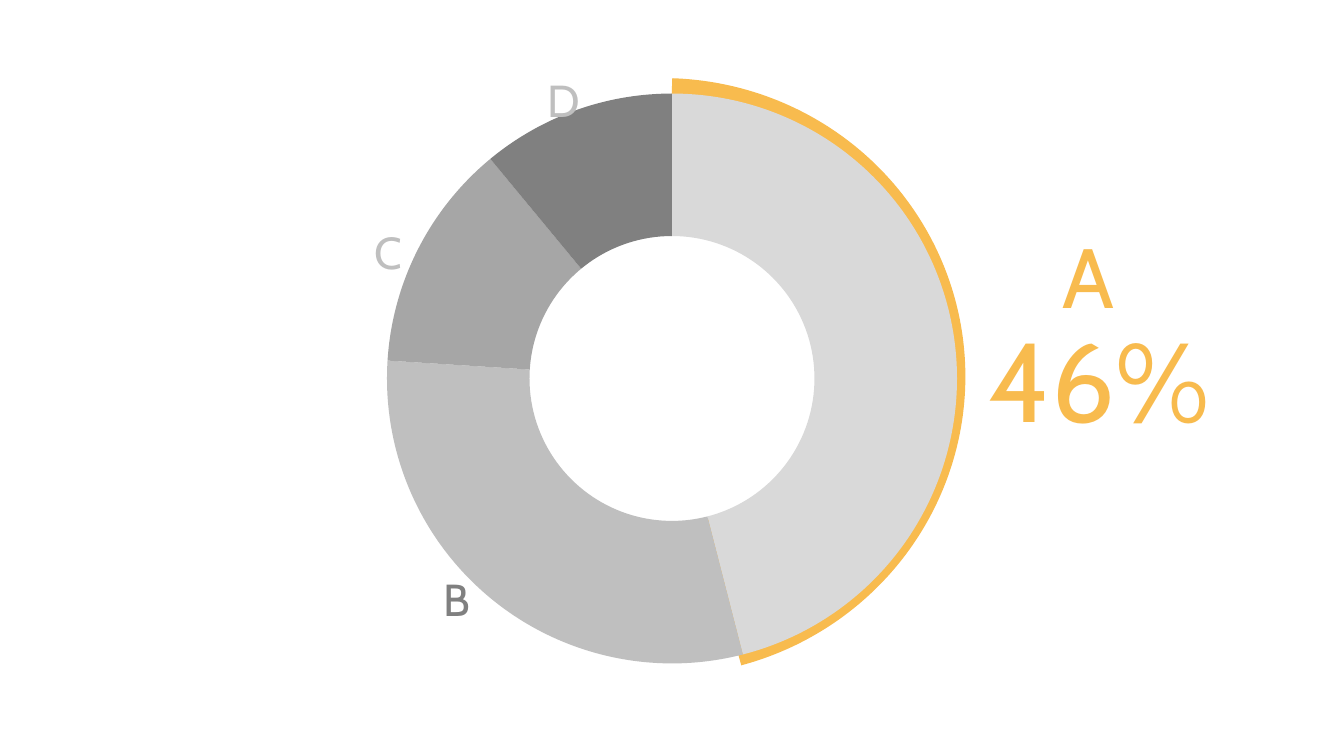
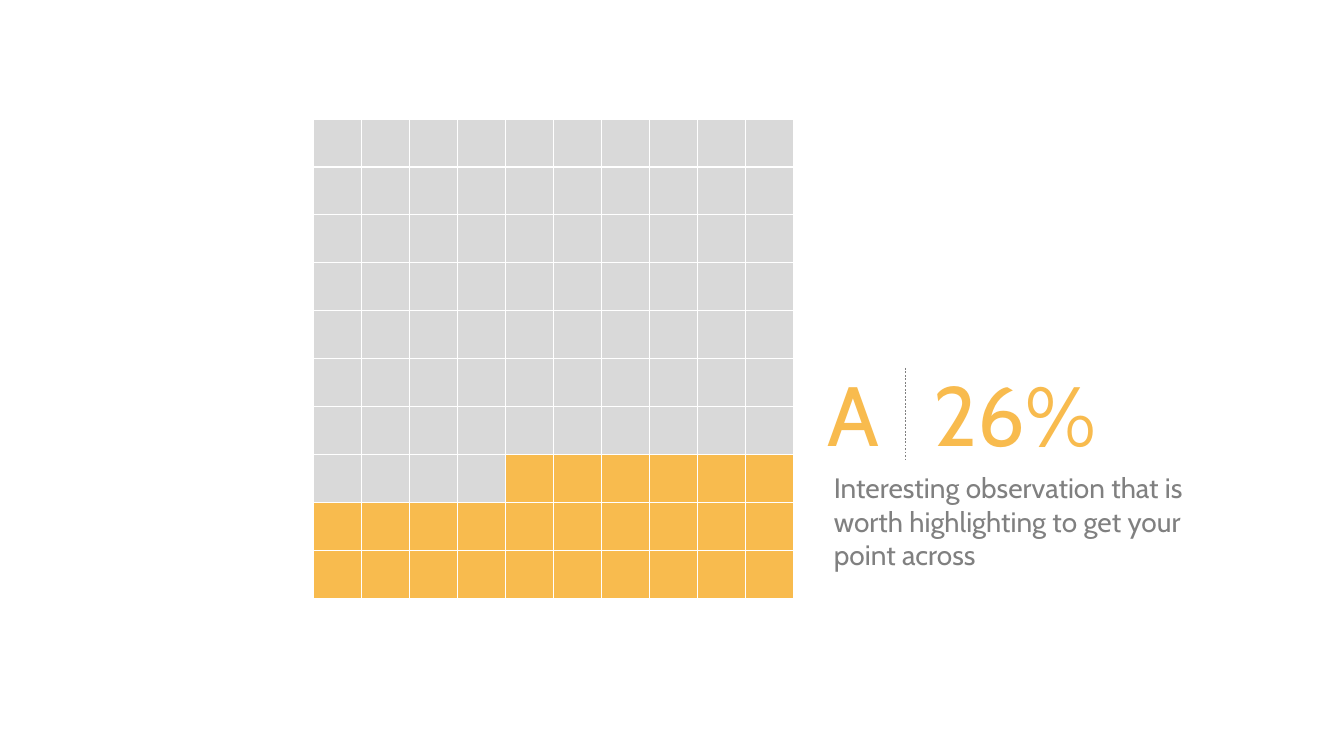
from pptx import Presentation
from pptx.chart.data import CategoryChartData
from pptx.dml.color import RGBColor
from pptx.enum.chart import XL_CHART_TYPE as ChartType
from pptx.enum.dml import MSO_LINE as Dash
from pptx.enum.shapes import MSO_CONNECTOR as Connector, MSO_SHAPE as Shape
from pptx.oxml.ns import qn
from pptx.oxml.xmlchemy import OxmlElement
from pptx.util import Inches, Pt

COLORS = {
    "accent": "F8BB4E",
    "white": "FFFFFF",
    "black": "000000",
    "light": "D9D9D9",
    "silver": "BFBFBF",
    "medium": "A6A6A6",
    "dark": "808080",
}
TEXT_FONT = "Cabin"
CHART_FONT = "Calibri"
SHARES = {"light": 46, "silver": 30, "medium": 13, "dark": 11}
GRID_SIZE = 10
GRID_SIDE = 4.76
HIGHLIGHTED = 26


def rgb(name):
    return RGBColor.from_string(COLORS[name])


def paint(fill, color):
    fill.solid()
    fill.fore_color.rgb = rgb(color)


def add_text(shapes, place, text, size, color, inset=None):
    box = shapes.add_textbox(*map(Inches, place))
    frame = box.text_frame
    frame.word_wrap = True
    if inset is not None:
        frame.margin_left = frame.margin_right = Inches(inset)
        frame.margin_top = frame.margin_bottom = Inches(inset)
    span = frame.paragraphs[0].add_run()
    span.text = text
    span.font.name = TEXT_FONT
    span.font.size = Pt(size)
    span.font.color.rgb = rgb(color)


def add_highlight_arc(shapes):
    """Draw the accent ring whose rim shows beyond the first segment."""
    arc = shapes.add_shape(Shape.BLOCK_ARC, *map(Inches, (3.6, 0.73, 5.93, 6.02)))
    arc.shadow.inherit = False
    arc.rotation = 87.2
    for index, value in enumerate((110.87, 208.45, 0.25)):
        arc.adjustments[index] = value
    paint(arc.fill, "accent")
    arc.line.fill.background()


def add_doughnut(shapes):
    data = CategoryChartData()
    data.categories = [str(number) for number in range(1, len(SHARES) + 1)]
    data.add_series("Series 1", SHARES.values())
    place = map(Inches, (2.22, 0.79, 8.89, 5.93))
    chart = shapes.add_chart(ChartType.DOUGHNUT, *place, data).chart
    chart.has_legend = False
    chart.has_title = False
    chart.font.name = CHART_FONT
    chart.font.size = Pt(10)
    chart.font.color.rgb = rgb("black")
    plot = chart.plots[0]
    plot.has_data_labels = False
    plot.vary_by_categories = True
    for index, color in enumerate(SHARES):
        segment = plot.series[0].points[index].format
        paint(segment.fill, color)
        segment.line.fill.background()
    chart.element.find(".//" + qn("c:holeSize")).set("val", "56")


def add_dotted_line(shapes, start, end):
    line = shapes.add_connector(Connector.STRAIGHT, *map(Inches, start + end))
    line.line.color.rgb = rgb("dark")
    line.line.width = Pt(1.25)
    line.line.dash_style = Dash.ROUND_DOT
    line.element.spPr.append(OxmlElement("a:effectLst"))


def set_borders(cell, color, width):
    properties = cell._tc.get_or_add_tcPr()
    for index, side in enumerate(("a:lnL", "a:lnR", "a:lnT", "a:lnB")):
        border = OxmlElement(side)
        border.set("w", str(Pt(width)))
        fill = OxmlElement("a:solidFill")
        shade = OxmlElement("a:srgbClr")
        shade.set("val", COLORS[color])
        fill.append(shade)
        border.append(fill)
        properties.insert(index, border)


def add_waffle(shapes):
    """Draw a grid of squares, the last HIGHLIGHTED of them in the accent colour."""
    side = Inches(GRID_SIDE)
    frame = shapes.add_table(
        GRID_SIZE, GRID_SIZE, Inches(3.11), Inches(1.18), side, side
    )
    table = frame.table
    table.first_row = False
    table.horz_banding = False
    first_highlighted = GRID_SIZE**2 - HIGHLIGHTED
    for index, cell in enumerate(table.iter_cells()):
        paint(cell.fill, "accent" if index >= first_highlighted else "light")
        set_borders(cell, "white", 1)


def build_doughnut_slide(slide):
    shapes = slide.shapes
    add_highlight_arc(shapes)
    add_doughnut(shapes)
    add_text(shapes, (9.71, 3.03, 2.53, 1.45), "46%", 80, "accent")
    add_text(shapes, (10.44, 2.18, 1.06, 1.11), "A", 60, "accent")
    for letter, left, top, color in (
        ("B", 4.3, 5.62, "dark"),
        ("C", 3.62, 2.18, "silver"),
        ("D", 5.33, 0.67, "silver"),
    ):
        add_text(shapes, (left, top, 1.06, 0.64), letter, 32, color)


def build_waffle_slide(slide):
    callout = slide.shapes.add_group_shape().shapes
    add_text(callout, (9.16, 3.55, 1.98, 1.11), "26%", 60, "accent")
    add_text(callout, (8.11, 3.55, 1.06, 1.11), "A", 60, "accent")
    add_dotted_line(callout, (8.98, 3.65), (8.98, 4.57))
    add_waffle(slide.shapes)
    add_text(
        slide.shapes,
        (8.27, 4.67, 3.97, 1.01),
        "Interesting observation that is worth highlighting to get your point across",
        20,
        "dark",
        inset=0,
    )


def main():
    deck = Presentation()
    deck.slide_width = Inches(13.33)
    deck.slide_height = Inches(7.5)
    blank = deck.slide_layouts[6]
    paint(deck.slide_master.background.fill, "white")
    for build in (build_doughnut_slide, build_waffle_slide):
        build(deck.slides.add_slide(blank))
    deck.save("out.pptx")


if __name__ == "__main__":
    main()
